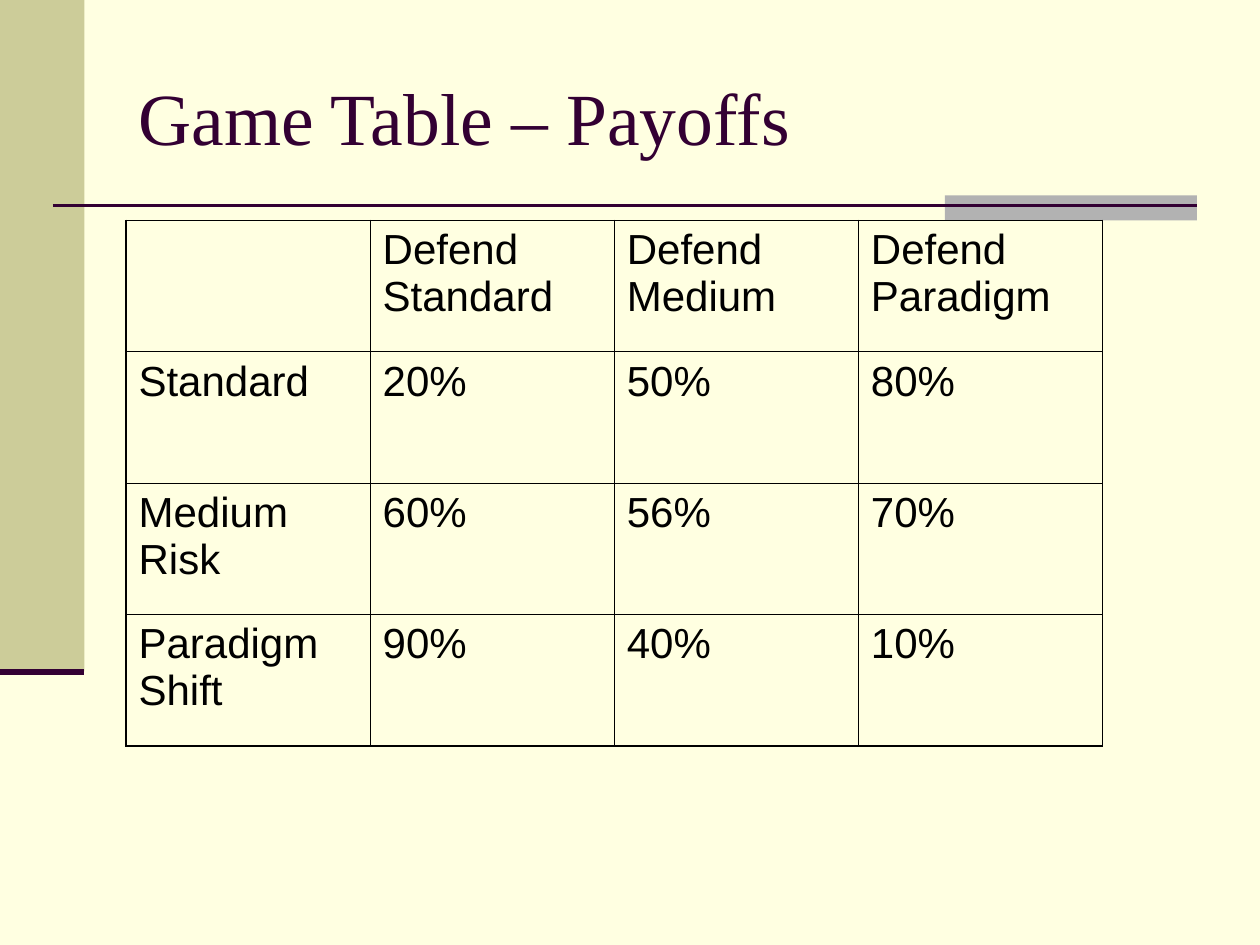
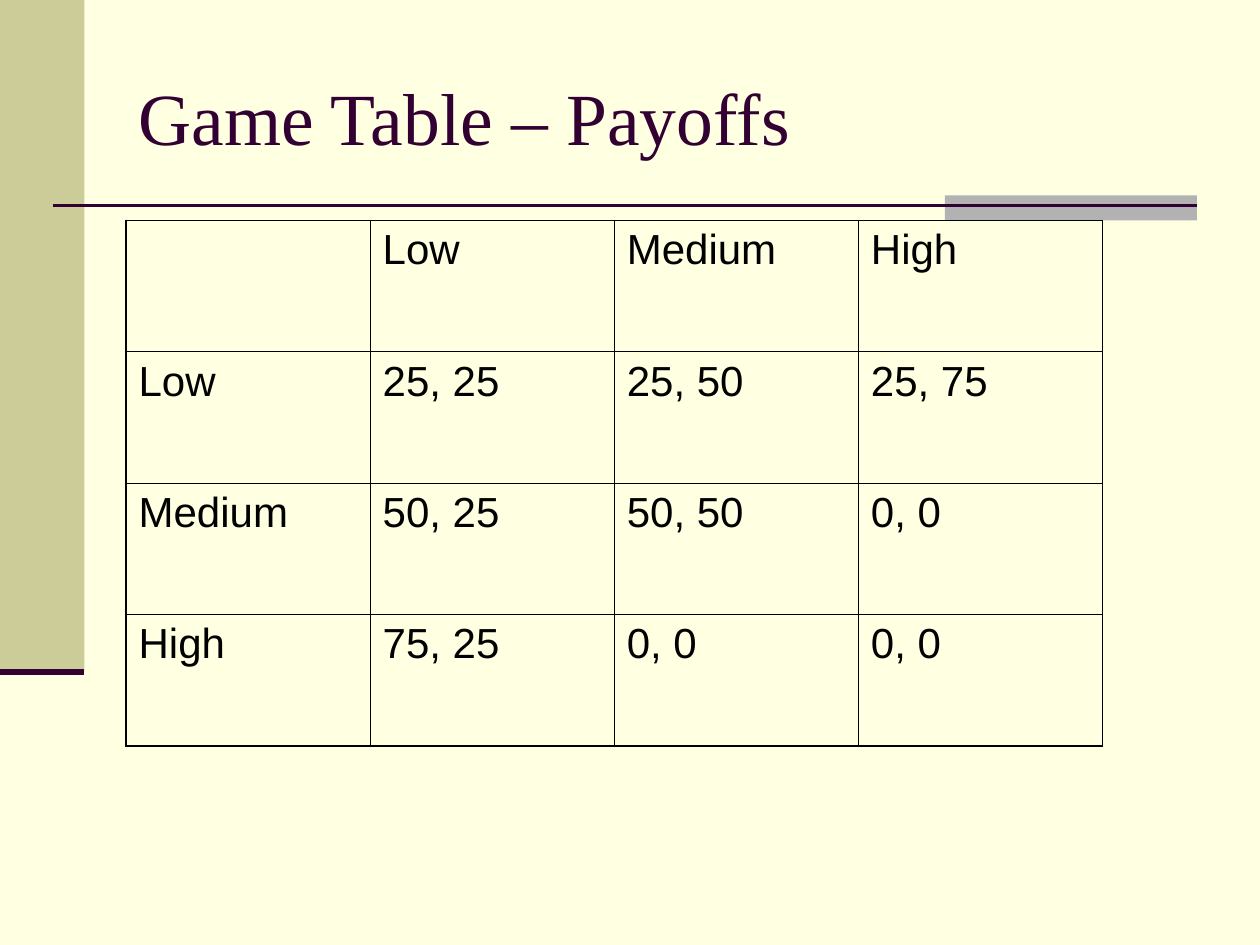
from lxml import etree
from pptx import Presentation
from pptx.dml.color import RGBColor
from pptx.enum.shapes import MSO_CONNECTOR, MSO_SHAPE
from pptx.enum.text import MSO_ANCHOR, PP_ALIGN
from pptx.oxml.ns import qn
from pptx.util import Inches, Pt

RECTANGLE = MSO_SHAPE.RECTANGLE
STRAIGHT = MSO_CONNECTOR.STRAIGHT
LEFT, MIDDLE, TOP = PP_ALIGN.LEFT, MSO_ANCHOR.MIDDLE, MSO_ANCHOR.TOP
TITLE_ONLY = 5

COLORS = {
    "background": "FFFFE1",
    "band": "CCCC99",
    "accent": "B2B2B2",
    "plum": "330033",
    "black": "000000",
}
TITLE_FONT, BODY_FONT = "Times New Roman", "Arial"
OUTER_BORDER, INNER_BORDER = Pt(1.08), Pt(0.45)

# Boxes as left, top, width, height in inches
BAND_BOX = (0, 0, 0.67, 5.33)
ACCENT_BOX = (7.5, 1.55, 2, 0.2)
TITLE_BOX = (1, 0.3, 8.5, 1.25)
TABLE_BOX = (1, 1.75, 7.75, 4.17)

SLIDES = [
    ("Game Table – Payoffs", [
        ["", "Defend Standard", "Defend Medium", "Defend Paradigm"],
        ["Standard", "20%", "50%", "80%"],
        ["Medium Risk", "60%", "56%", "70%"],
        ["Paradigm Shift", "90%", "40%", "10%"],
    ]),
    ("Game Table – Payoffs", [
        ["", "Low", "Medium", "High"],
        ["Low", "25, 25", "25, 50", "25, 75"],
        ["Medium", "50, 25", "50, 50", "0, 0"],
        ["High", "75, 25", "0, 0", "0, 0"],
    ]),
]


def color(name):
    return RGBColor.from_string(COLORS[name])


def inches(box):
    return [Inches(value) for value in box]


def add_text(text_frame, text, font_name, size, color_name):
    paragraph = text_frame.paragraphs[0]
    paragraph.alignment = LEFT
    run = paragraph.add_run()
    run.text = text
    run.font.name = font_name
    run.font.size = Pt(size)
    run.font.color.rgb = color(color_name)


def add_block(slide, box, color_name):
    shape = slide.shapes.add_shape(RECTANGLE, *inches(box))
    shape.shadow.inherit = False
    shape.fill.solid()
    shape.fill.fore_color.rgb = color(color_name)
    shape.line.fill.background()


def add_rule(slide, left, right, top, weight):
    connector = slide.shapes.add_connector(STRAIGHT, *inches((left, top, right, top)))
    connector.line.color.rgb = color("plum")
    connector.line.width = Pt(weight)
    etree.SubElement(connector._element.spPr, qn("a:effectLst"))


def add_decoration(slide):
    """Side band, grey accent and the two plum rules."""
    add_block(slide, BAND_BOX, "band")
    add_block(slide, ACCENT_BOX, "accent")
    left, top, width, height = BAND_BOX
    add_rule(slide, 0.42, ACCENT_BOX[0] + ACCENT_BOX[2], 1.63, 1.5)
    add_rule(slide, left, left + width, top + height, 3.5)


def add_title(slide, box, text):
    title = slide.shapes.title
    title.left, title.top, title.width, title.height = inches(box)
    title.text_frame.word_wrap = True
    title.text_frame.vertical_anchor = MIDDLE
    add_text(title.text_frame, text, TITLE_FONT, 42, "plum")


def set_borders(cell, widths):
    """Insert the border lines ahead of the cell's fill, as the schema requires."""
    properties = cell._tc.get_or_add_tcPr()
    for index, (side, width) in enumerate(widths.items()):
        line = etree.Element(qn(f"a:ln{side}"), w=str(width))
        fill = etree.SubElement(line, qn("a:solidFill"))
        etree.SubElement(fill, qn("a:srgbClr"), val=COLORS["black"])
        properties.insert(index, line)


def add_payoff_table(slide, box, rows):
    row_count, column_count = len(rows), len(rows[0])
    table = slide.shapes.add_table(row_count, column_count, *inches(box)).table
    table.first_row = table.horz_banding = False
    for row_index, row in enumerate(rows):
        for column_index, text in enumerate(row):
            cell = table.cell(row_index, column_index)
            cell.vertical_anchor = TOP
            cell.fill.background()
            on_edge = {
                "L": column_index == 0,
                "R": column_index == column_count - 1,
                "T": row_index == 0,
                "B": row_index == row_count - 1,
            }
            set_borders(cell, {side: OUTER_BORDER if outer else INNER_BORDER
                               for side, outer in on_edge.items()})
            if text:
                add_text(cell.text_frame, text, BODY_FONT, 24, "black")


def add_payoff_slide(presentation, title, rows):
    slide = presentation.slides.add_slide(presentation.slide_layouts[TITLE_ONLY])
    add_decoration(slide)
    add_title(slide, TITLE_BOX, title)
    add_payoff_table(slide, TABLE_BOX, rows)


def main():
    presentation = Presentation()
    presentation.slide_width, presentation.slide_height = Inches(10), Inches(7.5)

    # Background shared by all slides
    background = presentation.slide_master.background.fill
    background.solid()
    background.fore_color.rgb = color("background")

    for title, rows in SLIDES:
        add_payoff_slide(presentation, title, rows)
    presentation.save("out.pptx")


if __name__ == "__main__":
    main()
